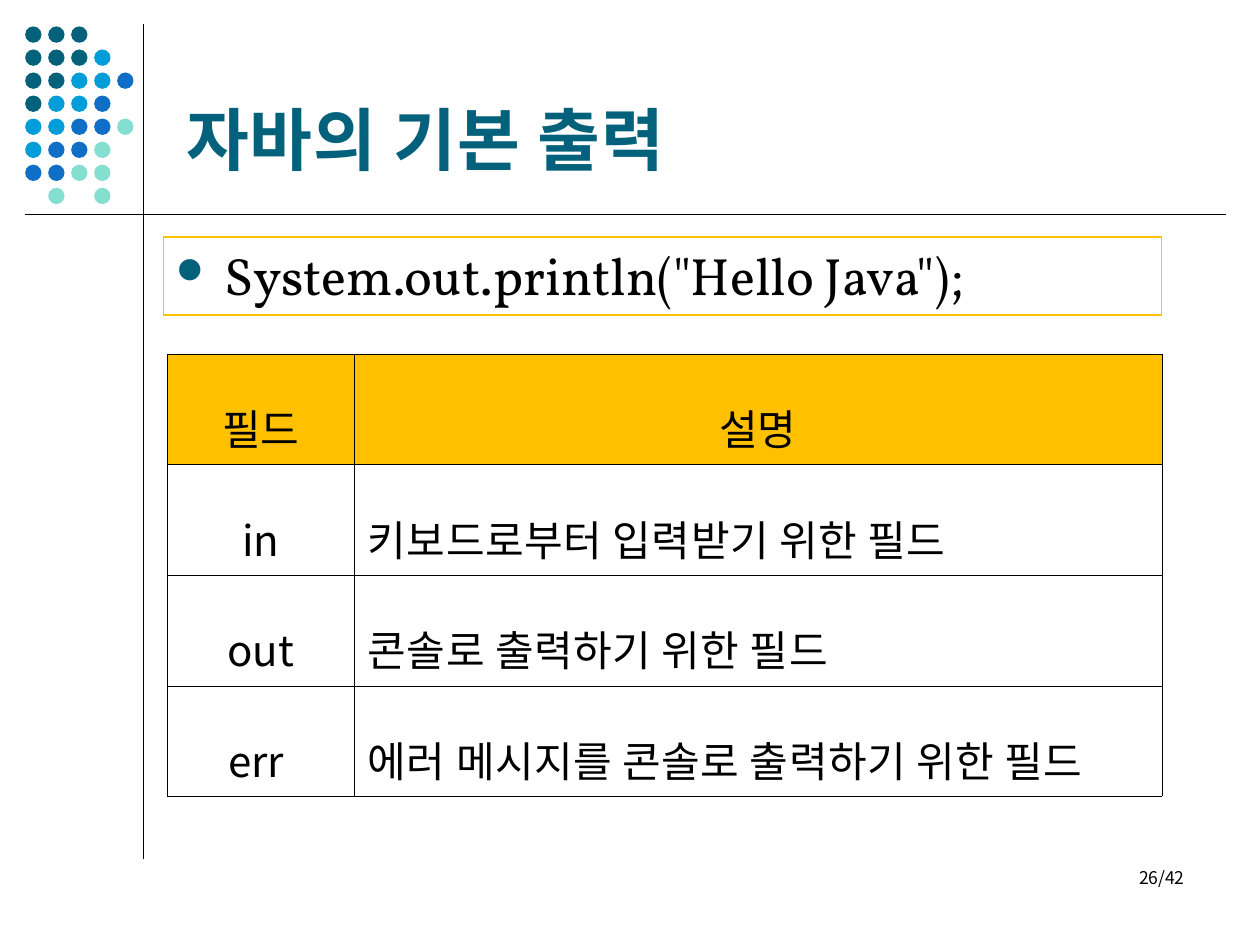
from lxml import etree
from pptx import Presentation
from pptx.dml.color import RGBColor
from pptx.enum.shapes import MSO_CONNECTOR, MSO_SHAPE
from pptx.enum.text import MSO_ANCHOR, PP_ALIGN
from pptx.oxml.ns import qn
from pptx.util import Inches, Pt

OVAL, RECT = MSO_SHAPE.OVAL, MSO_SHAPE.RECTANGLE
STRAIGHT = MSO_CONNECTOR.STRAIGHT
TOP, MIDDLE, BOTTOM = MSO_ANCHOR.TOP, MSO_ANCHOR.MIDDLE, MSO_ANCHOR.BOTTOM
LEFT, CENTER, RIGHT, JUSTIFY = PP_ALIGN.LEFT, PP_ALIGN.CENTER, PP_ALIGN.RIGHT, PP_ALIGN.JUSTIFY

TITLE = "자바의 기본 출력"
CODE = 'System.out.println("Hello Java");'
PAGE = "26/42"
FIELDS = [
    ("필드", "설명"),
    ("in", "키보드로부터 입력받기 위한 필드"),
    ("out", "콘솔로 출력하기 위한 필드"),
    ("err ", "에러 메시지를 콘솔로 출력하기 위한 필드"),
]
# One letter per dot: teal, sky, blue, mint
DOTS = ["TTT", "TTTS", "TTSSB", "TSSB", "SSBBM", "SBBM", "BBMM", " M M"]

THEME = {
    "T": "04617B", "S": "009DD9", "B": "0F6FC6", "M": "85DFD0",
    "ink": "000000", "gold": "FFC000",
    "title": 39, "code": 30, "cell": 24, "page": 10,
    "title_font": "Open Sans", "code_font": "Vollkorn", "body_font": "Noto Sans CJK KR",
    "title_spacing": 0.55, "cell_spacing": 0.3,
    "rule": 0.75, "border": 0.11,
}

SLIDE_W, SLIDE_H = 10, 7.5
DOT_X, DOT_Y, DOT_SIZE = 0.2, 0.21, 0.13
DOT_STEP_X, DOT_STEP_Y = 0.73 / 4, 1.28 / 7
RULES = [((1.14, 0.19), (1.14, 6.82)), ((0.2, 1.7), (9.73, 1.7))]
TABLE_X, TABLE_Y, TABLE_H = 1.33, 2.81, 3.51
COLS = [1.48, 6.41]


def color(name):
    return RGBColor.from_string(THEME[name])


def box(inches):
    return [Inches(v) for v in inches]


def add_text(tf, text, kind, font, ink="ink", align=LEFT, bold=False, spacing=0):
    """Write one run; spacing is the extra room between letters in points."""
    p = tf.paragraphs[0]
    p.alignment = align
    r = p.add_run()
    r.text = text
    r.font.size, r.font.name, r.font.bold = Pt(THEME[kind]), THEME[font], bold
    r.font.color.rgb = color(ink)
    rPr = r.font._element
    if spacing:
        rPr.set("spc", str(round(spacing * 100)))
    etree.SubElement(rPr, qn("a:ea")).set("typeface", THEME["body_font"])
    return p


def add_textbox(s, at, anchor):
    tf = s.shapes.add_textbox(*box(at)).text_frame
    tf.word_wrap, tf.vertical_anchor = True, anchor
    return tf


def add_bullet(p):
    pPr = p._p.get_or_add_pPr()
    pPr.set("marL", str(Inches(0.38)))
    pPr.set("indent", str(-Inches(0.38)))
    bu = etree.SubElement(pPr, qn("a:buClr"))
    etree.SubElement(bu, qn("a:srgbClr")).set("val", THEME["T"])
    etree.SubElement(pPr, qn("a:buSzPct")).set("val", "70000")
    # In Wingdings the letter l is a round dot
    font = etree.SubElement(pPr, qn("a:buFont"))
    font.set("typeface", "Wingdings")
    font.set("charset", "2")
    etree.SubElement(pPr, qn("a:buChar")).set("char", "l")


def add_rule(s, start, end):
    line = s.shapes.add_connector(STRAIGHT, *box(start + end))
    line.line.color.rgb, line.line.width = color("ink"), Pt(THEME["rule"])
    etree.SubElement(line._element.spPr, qn("a:effectLst"))


def add_dots(s):
    for row, letters in enumerate(DOTS):
        for col, letter in enumerate(letters):
            if letter == " ":
                continue
            at = (DOT_X + col * DOT_STEP_X, DOT_Y + row * DOT_STEP_Y, DOT_SIZE, DOT_SIZE)
            dot = s.shapes.add_shape(OVAL, *box(at))
            dot.shadow.inherit = False
            dot.fill.solid()
            dot.fill.fore_color.rgb = color(letter)
            dot.line.fill.background()


def add_code(s):
    sp = s.shapes.add_shape(RECT, *box((1.3, 1.88, 7.92, 0.62)))
    sp.shadow.inherit = False
    sp.fill.background()
    sp.line.color.rgb, sp.line.width = color("gold"), Pt(THEME["rule"])
    tf = sp.text_frame
    tf.word_wrap, tf.vertical_anchor = True, TOP
    add_bullet(add_text(tf, CODE, "code", "code_font"))


def add_borders(cell):
    tcPr = cell._tc.get_or_add_tcPr()
    for i, side in enumerate(("a:lnL", "a:lnR", "a:lnT", "a:lnB")):
        ln = etree.Element(qn(side), w=str(Pt(THEME["border"])))
        fill = etree.SubElement(ln, qn("a:solidFill"))
        etree.SubElement(fill, qn("a:srgbClr")).set("val", THEME["ink"])
        tcPr.insert(i, ln)


def add_fields(s):
    at = (TABLE_X, TABLE_Y, sum(COLS), TABLE_H)
    table = s.shapes.add_table(len(FIELDS), len(COLS), *box(at)).table
    table.first_row = table.horz_banding = False
    for col, width in zip(table.columns, COLS):
        col.width = Inches(width)
    for row, texts in enumerate(FIELDS):
        for col, text in enumerate(texts):
            cell = table.cell(row, col)
            description = row > 0 and col == 1
            if row == 0:
                cell.fill.solid()
                cell.fill.fore_color.rgb = color("gold")
            else:
                cell.fill.background()
            add_borders(cell)
            cell.vertical_anchor = MIDDLE
            cell.margin_left = Inches(0.11 if description else 0.02)
            cell.margin_right = Inches(0.02)
            p = add_text(cell.text_frame, text, "cell", "body_font",
                         align=JUSTIFY if description else CENTER,
                         spacing=THEME["cell_spacing"] if description else 0)
            p.line_spacing = 1.6


def main():
    prs = Presentation()
    prs.slide_width, prs.slide_height = box((SLIDE_W, SLIDE_H))
    s = prs.slides.add_slide(prs.slide_layouts[6])
    add_dots(s)
    for start, end in RULES:
        add_rule(s, start, end)
    add_text(add_textbox(s, (1.38, 0.21, 8.25, 1.26), BOTTOM), TITLE, "title",
             "title_font", ink="T", bold=True, spacing=THEME["title_spacing"])
    add_code(s)
    add_fields(s)
    add_text(add_textbox(s, (7.17, 6.83, 2.33, 0.5), TOP),
             PAGE, "page", "body_font", align=RIGHT)
    prs.save("out.pptx")


if __name__ == "__main__":
    main()
